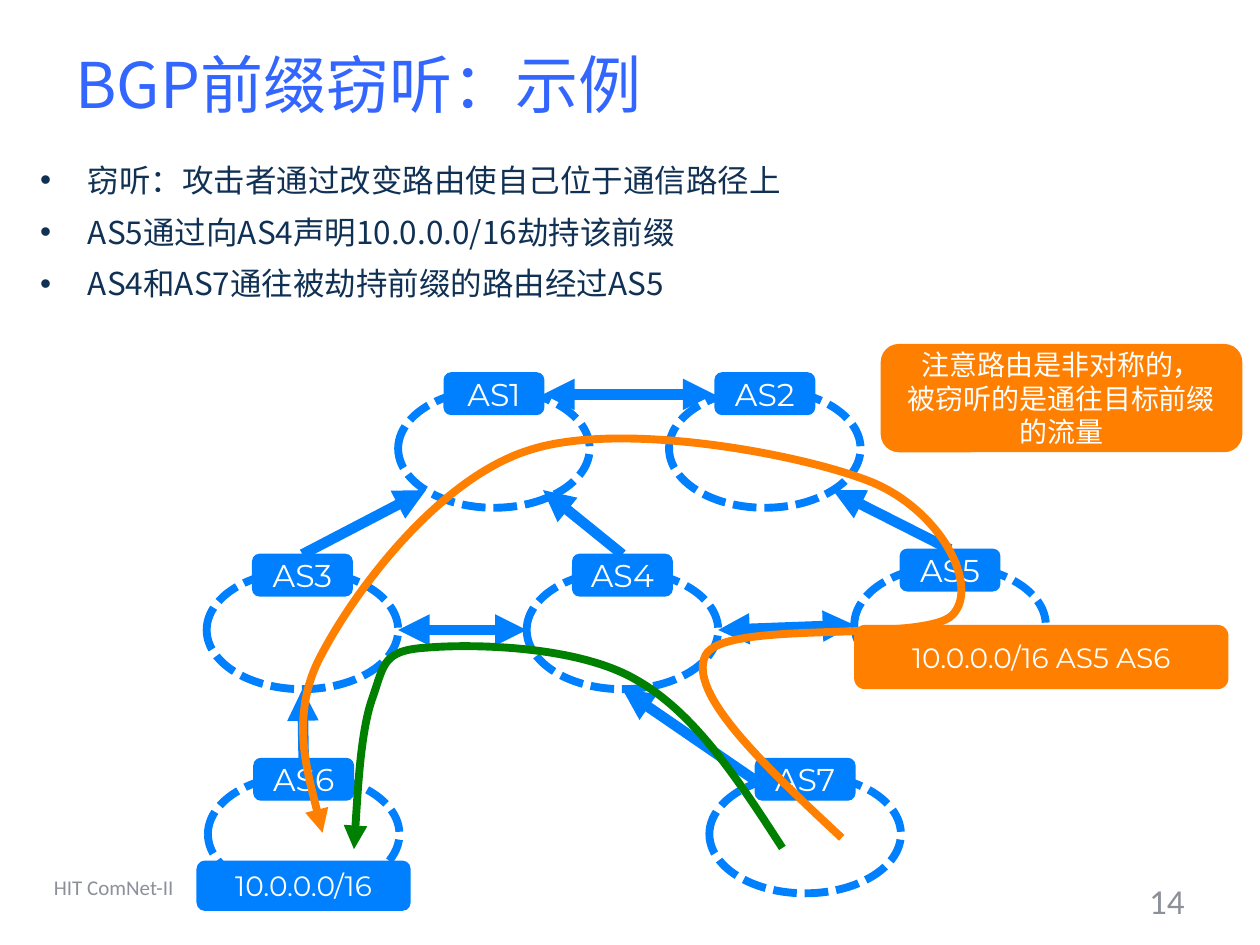
"""Build the slide on BGP prefix interception."""
import pptx
import pptx.dml.color
import pptx.enum.dml
import pptx.enum.shapes
import pptx.enum.text
import pptx.oxml
import pptx.oxml.ns
import pptx.util
from lxml import etree

Inches, Pt = pptx.util.Inches, pptx.util.Pt
RGB = pptx.dml.color.RGBColor
SHAPE = pptx.enum.shapes.MSO_SHAPE
ALIGN = pptx.enum.text.PP_ALIGN
MIDDLE = pptx.enum.text.MSO_ANCHOR.MIDDLE
qn = pptx.oxml.ns.qn

BLUE, ORANGE, GREEN = RGB(0, 128, 255), RGB(255, 127, 1), RGB(0, 128, 0)
TITLE, NAVY = RGB(0x33, 0x66, 0xFF), RGB(0x10, 0x31, 0x54)
GREY, WHITE = RGB(0x8C, 0x90, 0x99), RGB(255, 255, 255)
NOTO, MONT, CALI = "Noto Sans CJK SC", "Montserrat", "Calibri"

HEAD = "BGP前缀窃听：示例"
POINTS = [
    "窃听：攻击者通过改变路由使自己位于通信路径上",
    "AS5通过向AS4声明10.0.0.0/16劫持该前缀",
    "AS4和AS7通往被劫持前缀的路由经过AS5",
]
FOOTS = [
    ("14", (7.17, 6.95, 2.33, 0.4), 20, ALIGN.RIGHT),
    ("HIT ComNet-II", (0.33, 6.84, 3.17, 0.4), 12, ALIGN.LEFT),
]
OVAL, LABEL = (1.52, 0.94), (0.79, 0.33)
NODES = {
    "AS2": (5.31, 3.09), "AS1": (3.16, 3.09), "AS3": (1.64, 4.53),
    "AS4": (4.18, 4.53), "AS5": (6.78, 4.49), "AS6": (1.65, 6.15),
    "AS7": (5.63, 6.15),
}
PORTS = {
    "top": (0.76, -0.13), "bottom": (0.76, 0.94),
    "left": (0, 0.47), "right": (1.52, 0.47),
    "tag left": (0.36, 0.04), "tag right": (1.15, 0.04),
    "low left": (0.22, 0.8), "low mid": (1.15, 0.8), "low right": (1.3, 0.8),
}
LINKS = [
    ("AS3", "bottom", "AS6", "top", False),
    ("AS4", "bottom", "AS7", "tag left", False),
    ("AS2", "low right", "AS5", "top", False),
    ("AS1", "low mid", "AS4", "top", False),
    ("AS1", "low left", "AS3", "top", False),
    ("AS1", "tag right", "AS2", "tag left", True),
    ("AS3", "right", "AS4", "left", True),
    ("AS4", "right", "AS5", "left", True),
]
OLD = [
    (6.21, 6.73), (5.86, 6.19), (5.51, 5.65), (5.04, 5.39), (4.57, 5.12),
    (3.73, 5.11), (3.39, 5.14), (3.04, 5.16), (3.05, 5.27), (2.96, 5.53),
    (2.86, 5.8), (2.81, 6.74), (2.81, 6.74),
]
NEW = [
    (6.68, 6.65), (6.07, 6.08), (5.45, 5.5), (5.6, 5.2), (5.75, 4.91),
    (7.34, 5.11), (7.56, 4.88), (7.78, 4.65), (7.46, 4.04), (6.9, 3.82),
    (6.34, 3.6), (4.93, 3.34), (4.21, 3.57), (3.49, 3.79), (2.83, 4.67),
    (2.56, 5.18), (2.28, 5.68), (2.56, 6.61), (2.56, 6.61),
]
OLD_BOX, NEW_BOX = (2.81, 5.13, 3.4, 1.61), (2.44, 3.48, 5.19, 3.17)
ROUTES = [
    ("10.0.0.0/16", (1.56, 6.83, 1.7, 0.4), BLUE),
    ("10.0.0.0/16 AS5 AS6", (6.78, 4.96, 2.97, 0.51), ORANGE),
]
NOTE = ("注意路由是非对称的，\n被窃听的是通往目标前缀的流量", (6.99, 2.73, 2.87, 0.86), ORANGE)


def write(shape, text, size, font, color, align):
    frame = shape.text_frame
    frame.text = text
    frame.word_wrap = True
    frame.vertical_anchor = MIDDLE
    for para in frame.paragraphs:
        para.alignment = align
        for run in para.runs:
            run.font.size = Pt(size)
            run.font.color.rgb = color
            run.font.name = font
            east = etree.SubElement(run.font._element, qn("a:ea"))
            east.set("typeface", font)


def place(shape, box):
    shape.left, shape.top, shape.width, shape.height = map(Inches, box)


def block(slide, kind, box, fill=None):
    shape = slide.shapes.add_shape(kind, *map(Inches, box))
    shape.shadow.inherit = False
    if fill is None:
        shape.fill.background()
    else:
        shape.fill.solid()
        shape.fill.fore_color.rgb = fill
    shape.line.fill.background()
    return shape


def stroke(shape, color, width):
    shape.line.color.rgb = color
    shape.line.width = Pt(width)


def point(shape, *ends):
    for end in ends:
        tip = etree.SubElement(shape.line._get_or_add_ln(), qn("a:" + end))
        tip.set("type", "triangle")


def tag(slide, text, box, fill, size=16):
    shape = block(slide, SHAPE.ROUNDED_RECTANGLE, box, fill)
    write(shape, text, size, MONT, WHITE, ALIGN.CENTER)
    return shape


def node(slide, name, x, y):
    ring = block(slide, SHAPE.OVAL, (x, y, *OVAL))
    stroke(ring, BLUE, 4.5)
    ring.line.dash_style = pptx.enum.dml.MSO_LINE.SQUARE_DOT
    label = tag(slide, name, (x + 0.365, y - 0.13, *LABEL), BLUE, 18)
    stroke(label, BLUE, 0.75)


def port(name, side):
    return [Inches(a + b) for a, b in zip(NODES[name], PORTS[side])]


def link(slide, start, exit, end, entry, both):
    kind = pptx.enum.shapes.MSO_CONNECTOR.STRAIGHT
    line = slide.shapes.add_connector(kind, *port(start, exit), *port(end, entry))
    stroke(line, BLUE, 6)
    point(line, *(["headEnd", "tailEnd"] if both else ["headEnd"]))
    etree.SubElement(line._element.spPr, qn("a:effectLst"))


def bend(curve, knots, box):
    left, top, width, height = map(Inches, box)
    route = curve._element.find(".//" + qn("a:path"))
    route.set("w", str(width))
    route.set("h", str(height))
    for step in list(route):
        route.remove(step)
    groups = [("a:moveTo", knots[:1])]
    groups += [("a:cubicBezTo", knots[i:i + 3]) for i in range(1, len(knots), 3)]
    for name, dots in groups:
        step = etree.SubElement(route, qn(name))
        for x, y in dots:
            dot = etree.SubElement(step, qn("a:pt"))
            dot.set("x", str(Inches(x) - left))
            dot.set("y", str(Inches(y) - top))


def trace(slide, knots, box, color):
    spots = [(Inches(x), Inches(y)) for x, y in knots]
    pen = slide.shapes.build_freeform(*spots[0])
    pen.add_line_segments(spots[1:], close=False)
    curve = pen.convert_to_shape()
    bend(curve, knots, box)
    place(curve, box)
    curve.shadow.inherit = False
    curve.fill.background()
    stroke(curve, color, 4.5)
    point(curve, "tailEnd")


def points(slide):
    box = slide.shapes.add_textbox(*map(Inches, (0.22, 1.17, 9.64, 1.4)))
    write(box, "\n".join(POINTS), 18, NOTO, NAVY, ALIGN.LEFT)
    box.text_frame.vertical_anchor = pptx.enum.text.MSO_ANCHOR.TOP
    for para in box.text_frame.paragraphs:
        para.line_spacing = 1.2
        para.space_before = Pt(3.6)
        props = para._p.get_or_add_pPr()
        props.set("marL", str(Inches(0.38)))
        props.set("indent", str(-Inches(0.38)))
        etree.SubElement(props, qn("a:buFont")).set("typeface", "Arial")
        etree.SubElement(props, qn("a:buChar")).set("char", "•")


def main():
    deck = pptx.Presentation()
    deck.slide_width, deck.slide_height = Inches(10), Inches(7.5)
    slide = deck.slides.add_slide(deck.slide_layouts[5])
    place(slide.shapes.title, (0.5, 0.04, 9, 1.25))
    write(slide.shapes.title, HEAD, 36, NOTO, TITLE, ALIGN.LEFT)
    points(slide)
    for text, box, size, align in FOOTS:
        foot = slide.shapes.add_textbox(*map(Inches, box))
        write(foot, text, size, CALI, GREY, align)
    for name, spot in NODES.items():
        node(slide, name, *spot)
    for ends in LINKS:
        link(slide, *ends)
    trace(slide, OLD, OLD_BOX, GREEN)
    for route in ROUTES:
        tag(slide, *route)
    trace(slide, NEW, NEW_BOX, ORANGE)
    tag(slide, *NOTE)
    deck.save("out.pptx")


if __name__ == "__main__":
    main()
